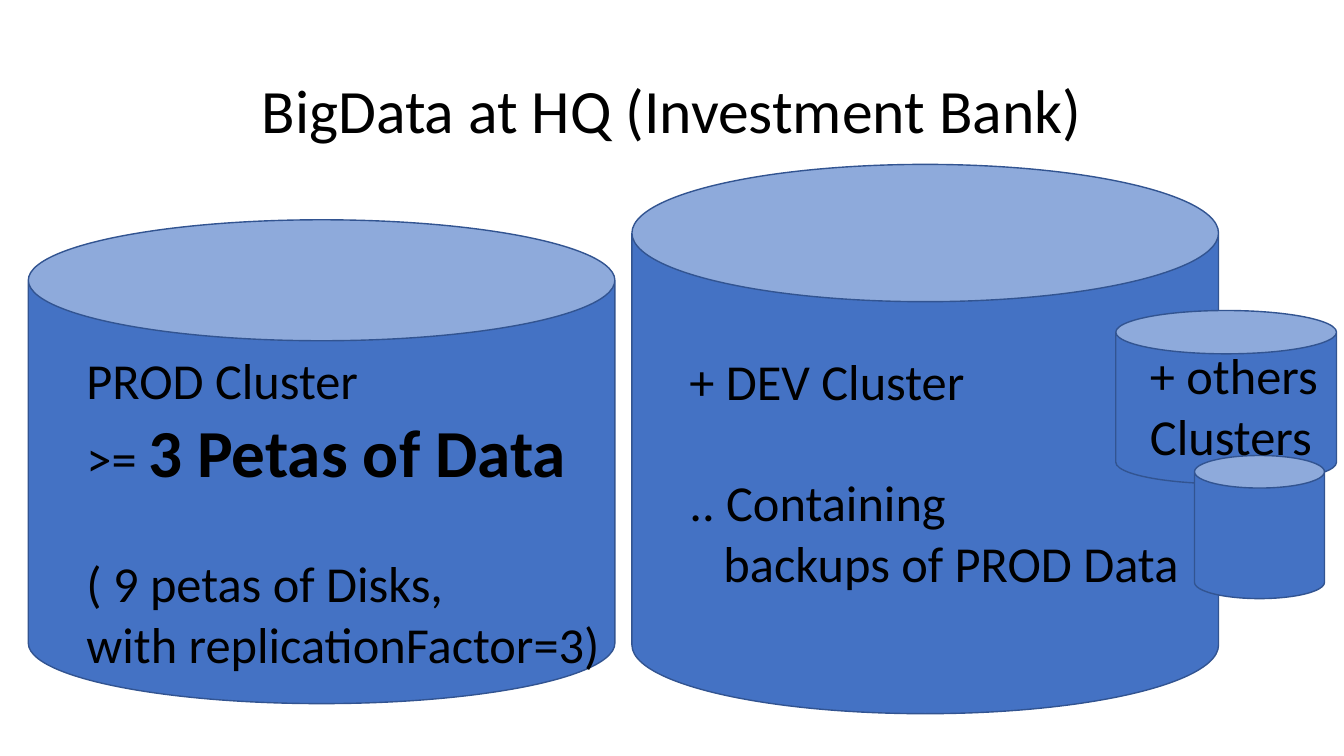
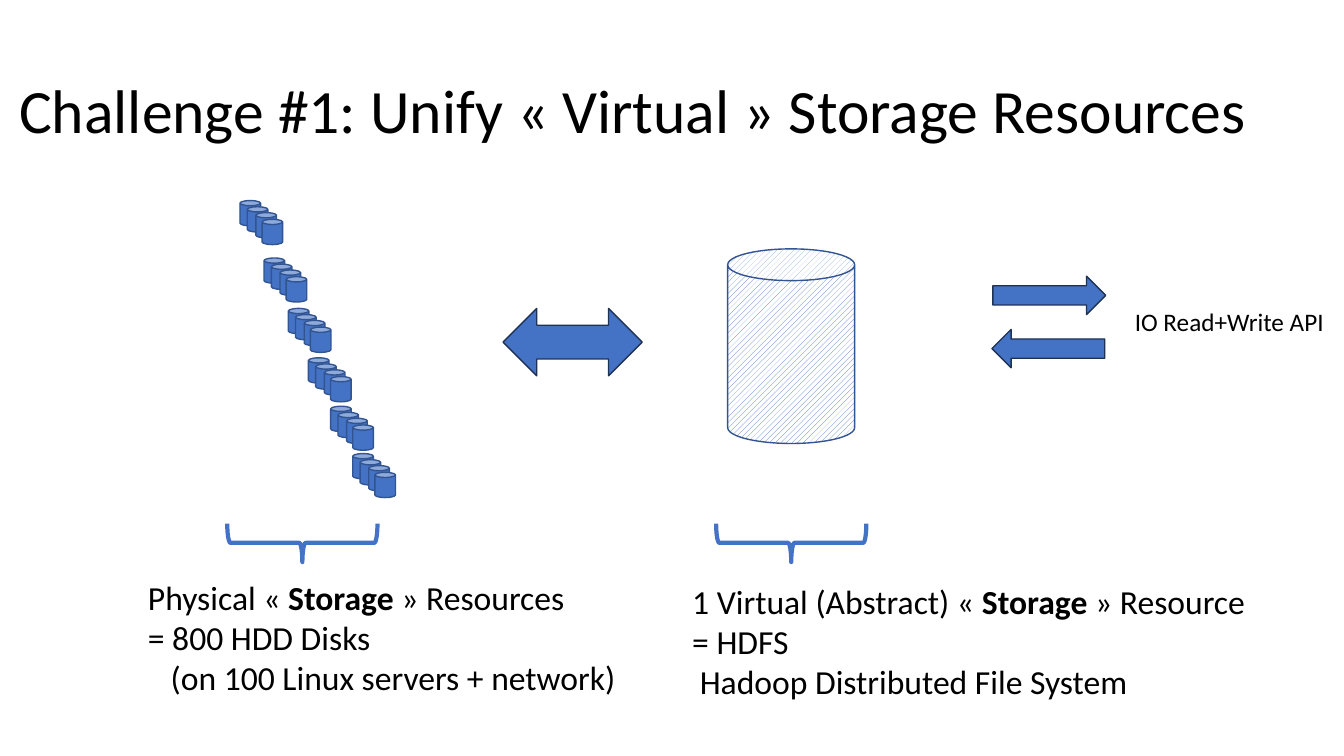
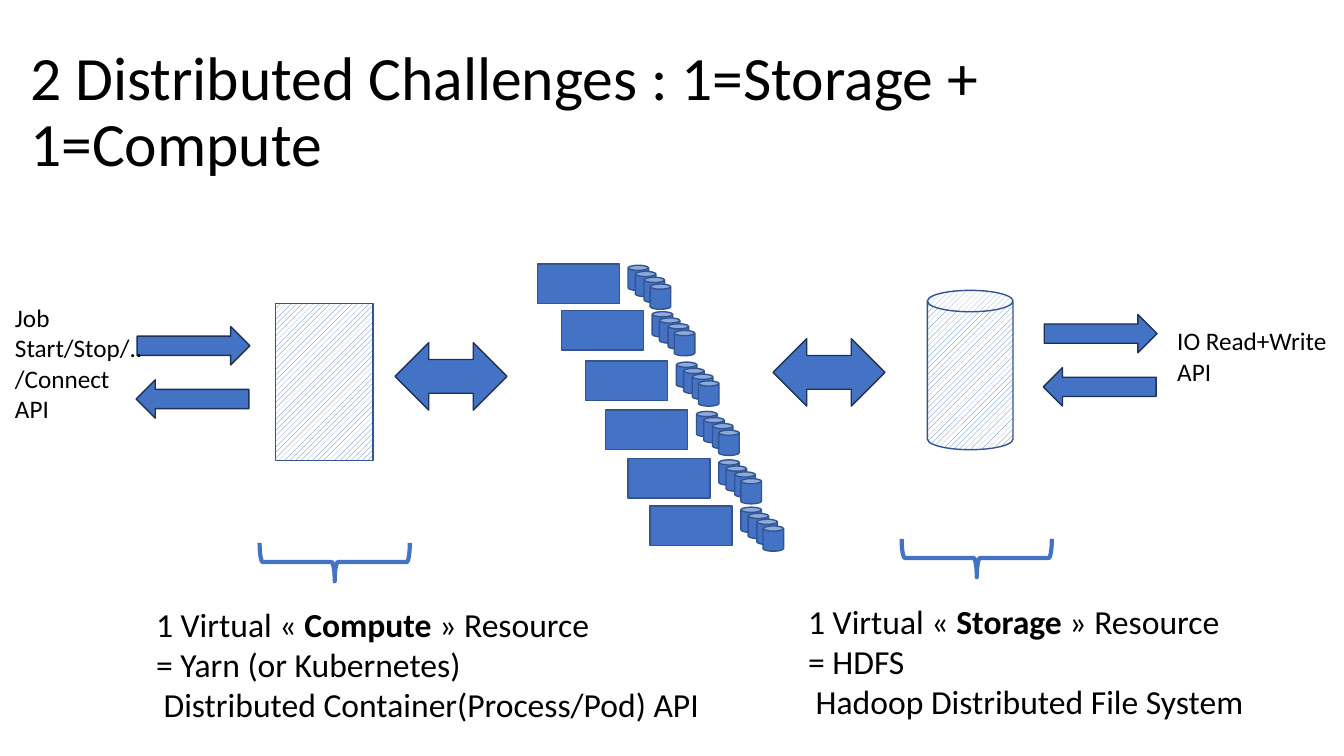
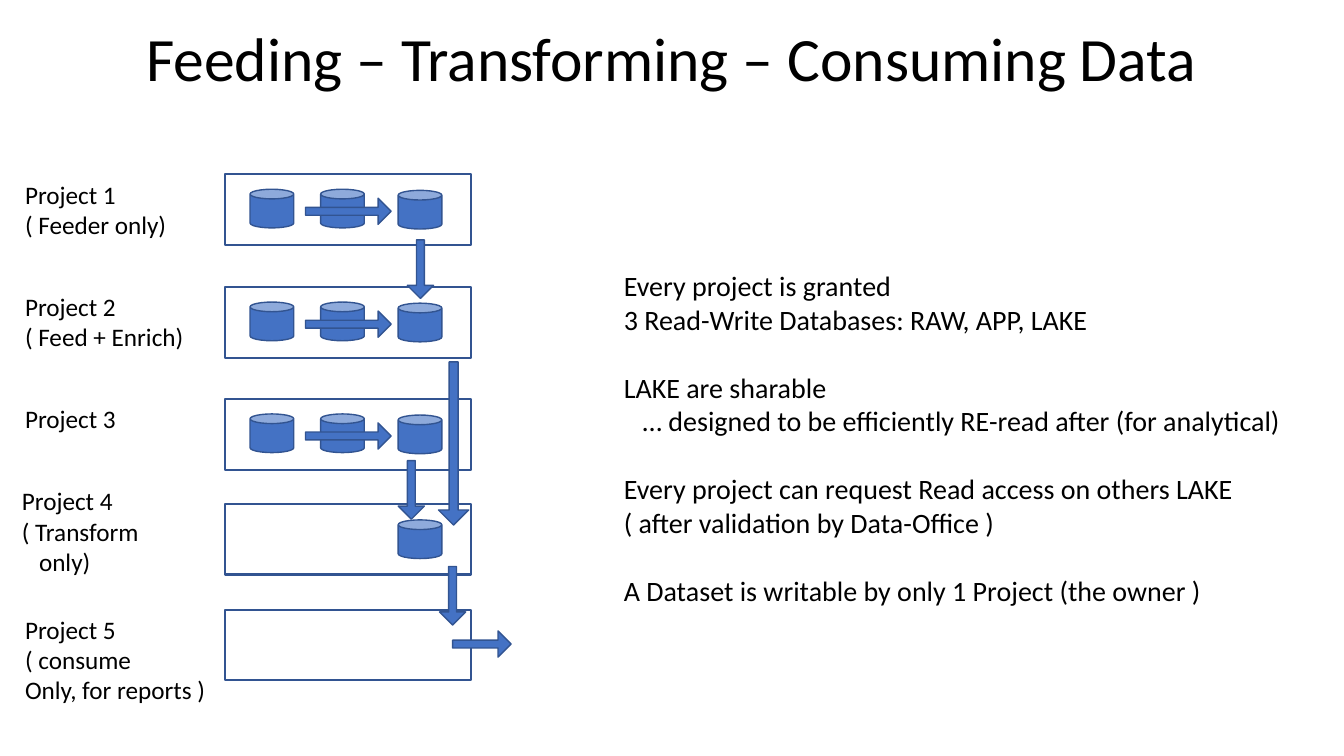
from pptx import Presentation
from pptx.dml.color import RGBColor
from pptx.enum.dml import MSO_PATTERN
from pptx.enum.shapes import MSO_SHAPE
from pptx.enum.text import MSO_ANCHOR, MSO_AUTO_SIZE, PP_ALIGN
from pptx.util import Pt

CAN = MSO_SHAPE.CAN
RECTANGLE = MSO_SHAPE.RECTANGLE
RIGHT_ARROW = MSO_SHAPE.RIGHT_ARROW
DOUBLE_ARROW = MSO_SHAPE.LEFT_RIGHT_ARROW
BRACE = MSO_SHAPE.LEFT_BRACE
HATCH = MSO_PATTERN.WIDE_UPWARD_DIAGONAL
MIDDLE = MSO_ANCHOR.MIDDLE
TOP = MSO_ANCHOR.TOP
LEFT = PP_ALIGN.LEFT
CENTER = PP_ALIGN.CENTER
NO_AUTOFIT = MSO_AUTO_SIZE.NONE
GROW = MSO_AUTO_SIZE.SHAPE_TO_FIT_TEXT

COLORS = {
    "blue": "4472C4",
    "outline": "325491",
    "arrow_outline": "1E3256",
    "text": "000000",
    "white": "FFFFFF",
}
FONT = "Calibri"
TITLE_SIZE = 44
LINE_HEIGHT = 1.22
SPACE_WIDTH = 0.226

CLUSTERS = {
    "title": (["BigData at HQ (Investment Bank)"], (66, 28.8, 828, 104.4), CENTER),
    "cans": [
        (20.2, 157, 419, 345.6),
        (451.4, 117.4, 419, 392.4),
        (797, 221.8, 157.7, 123.8),
        (853.2, 325.4, 92.9, 102.2),
    ],
    "texts": [
        ((54.7, 246.2, 384.5, 239.8), 36, [
            "PROD Cluster",
            {"runs": [(">= ", False, 36), ("3 Petas of Data", True, 48)]},
            {"runs": [("( 9 petas of Disks,", False, 36)], "gap": 1},
            "with replicationFactor=3)",
        ]),
        ((485.3, 246.2, 375.8, 181.4), 36, [
            "+ DEV Cluster",
            {"runs": [(".. Containing", False, 36)], "gap": 1},
            {"runs": [("backups of PROD Data", False, 36)], "indent": 3},
        ]),
        ((814.3, 242.6, 135.4, 94.3), 36, ["+ others", "Clusters"]),
    ],
}

HDFS_LINES = [
    "= HDFS",
    {"runs": [("Hadoop Distributed File System", False, 24)], "indent": 1},
]


def resource_line(before, resource, after):
    return {"runs": [(before + " « ", False, 24), (resource, True, 24), (" » " + after, False, 24)]}


STORAGE = {
    "title": (["Challenge #1: Unify « Virtual » Storage Resources"], (6.5, 28.8, 940.3, 104.4), LEFT),
    "disk_tops": [143.3, 184.3, 220.3, 255.6, 290.2, 324],
    "can": (519.8, 177.8, 90.7, 139),
    "double_arrows": [(359.3, 220.3, 99.4, 48.2)],
    "braces": [(202.3, 334.1), (551.5, 334.1)],
    "arrow_pairs": [(709.2, 197.3)],
    "texts": [
        ((98.6, 408.2, 351.4, 94.3), 24, [
            resource_line("Physical", "Storage", "Resources"),
            "= 800 HDD Disks",
            {"runs": [("(on 100 Linux servers + network)", False, 24)], "indent": 3},
        ]),
        ((487.4, 411.1, 412.6, 94.3), 24,
         [resource_line("1 Virtual (Abstract)", "Storage", "Resource")] + HDFS_LINES),
        ((803.5, 215.3, 150.5, 28.8), 18, ["IO Read+Write API"]),
    ],
}

COMPUTE = {
    "title": (["2 Distributed Challenges : 1=Storage +", "1=Compute"], (14.4, 28.8, 927.4, 104.4), LEFT),
    "server_tops": [188.6, 221.8, 257.8, 293, 327.6, 361.4],
    "can": (662.4, 207.4, 61.2, 113.8),
    "container": (196.6, 216.7, 69.8, 112.3),
    "double_arrows": [(552.2, 241.9, 79.9, 48.2), (282.2, 244.8, 79.9, 48.2)],
    "braces": [(684, 344.9), (225.4, 347.8)],
    "arrow_pairs": [(745.9, 224.6), (97.9, 233.3)],
    "texts": [
        ((570.2, 425.5, 328.3, 94.3), 24,
         [resource_line("1 Virtual", "Storage", "Resource")] + HDFS_LINES),
        ((104.4, 427.7, 402.5, 94.3), 24, [
            resource_line("1 Virtual", "Compute", "Resource"),
            "= Yarn (or Kubernetes)",
            {"runs": [("Distributed Container(Process/Pod) API", False, 24)], "indent": 1},
        ]),
        ((833.8, 229, 126.7, 51.1), 18, ["IO Read+Write", "API"]),
        ((3.6, 212.4, 106.6, 94.3), 18, ["Job", "Start/Stop/..", "/Connect", "API"]),
    ],
}

DISK_LEFTS = [171.4, 188.6, 205.9, 220.3, 236.2, 252]
DISK_STEPS = [(0, 0), (5.2, 4.4), (11.4, 8.6), (15.8, 13.4)]
DISK_SIZE = (14.7, 18)
SERVER_SHIFT = 212.4
SERVER_SIZE = (58.6, 28.2)
SERVER_TO_DISK = (64.8, 0.9)

FEEDING = {
    "title": (["Feeding – Transforming – Consuming Data"], (66, 10.8, 828, 67), CENTER),
    "projects": [
        (124.6, 3, (10.8, 124.6, 116.6, 51.1), ["Project 1", "( Feeder only)"]),
        (205.2, 3, (10.8, 204.5, 129.6, 51.1), ["Project 2", "( Feed + Enrich)"]),
        (285.1, 3, (10.8, 284.4, 79.9, 28.8), ["Project 3"]),
        (360, 1, (8.6, 343.4, 98.6, 72.7), [
            "Project 4", "( Transform",
            {"runs": [("only)", False, 18)], "indent": 3},
        ]),
        (435.6, 0, (10.8, 434.9, 144.7, 72.7), ["Project 5", "( consume", "Only, for reports )"]),
    ],
    "flows": [
        ((272.9, 340.6, 41.8, 18.7), 90),
        ((265.7, 306, 116.6, 21.6), 90),
        ((279.4, 182.9, 41.8, 18.7), 90),
        ((323.3, 450.7, 41.8, 18.7), 0),
        ((302.4, 416.2, 41.8, 18.7), 90),
    ],
    "texts": [
        ((438.5, 188.6, 501.1, 273.6), 20, [
            "Every project is granted",
            "3 Read-Write Databases: RAW, APP, LAKE",
            {"runs": [("LAKE are sharable", False, 20)], "gap": 1},
            {"runs": [("… designed to be efficiently RE-read after (for analytical)", False, 20)], "indent": 3},
            {"runs": [("Every project can request Read access on others LAKE", False, 20)], "gap": 1},
            "( after validation by Data-Office )",
            {"runs": [("A Dataset is writable by only 1 Project (the owner )", False, 20)], "gap": 1},
        ]),
    ],
}
DATABASES = [(178.6, 10.6), (229, 10.6), (284.4, 11.4)]


def color(name):
    return RGBColor.from_string(COLORS[name])


def points(box):
    return [Pt(value) for value in box]


def add_run(paragraph, text, size, bold=False):
    run = paragraph.add_run()
    run.text = text
    run.font.name = FONT
    run.font.size = Pt(size)
    run.font.bold = bold
    run.font.color.rgb = color("text")


def new_slide(presentation, content):
    lines, box, alignment = content["title"]
    slide = presentation.slides.add_slide(presentation.slide_layouts[5])
    title = slide.shapes.title
    title.left, title.top, title.width, title.height = points(box)
    frame = title.text_frame
    frame.word_wrap = True
    frame.auto_size = NO_AUTOFIT
    frame.vertical_anchor = MIDDLE
    paragraph = frame.paragraphs[0]
    paragraph.alignment = alignment
    paragraph.line_spacing = 0.9
    for index, text in enumerate(lines):
        if index:
            paragraph.add_line_break()
        add_run(paragraph, text, TITLE_SIZE)
    return slide


def add_text(slide, box, size, lines):
    frame = slide.shapes.add_textbox(*points(box)).text_frame
    frame.word_wrap = False
    frame.auto_size = GROW
    frame.vertical_anchor = TOP
    for index, line in enumerate(lines):
        if isinstance(line, str):
            line = {"runs": [(line, False, size)]}
        paragraph = frame.add_paragraph() if index else frame.paragraphs[0]
        if "indent" in line:
            properties = paragraph._p.get_or_add_pPr()
            properties.set("marL", str(Pt(line["indent"] * SPACE_WIDTH * size)))
            properties.set("indent", "0")
        if "gap" in line:
            paragraph.space_before = Pt(round(line["gap"] * LINE_HEIGHT * size, 1))
        for text, bold, run_size in line["runs"]:
            add_run(paragraph, text, run_size, bold)


def add_texts(slide, content):
    for box, size, lines in content["texts"]:
        add_text(slide, box, size, lines)


def add_figure(slide, kind, box, fill="solid", line="outline", width=1, rotation=0):
    shape = slide.shapes.add_shape(kind, *points(box))
    shape.shadow.inherit = False
    shape.rotation = rotation
    if fill == "solid":
        shape.fill.solid()
        shape.fill.fore_color.rgb = color("blue")
    elif fill == "hatch":
        shape.fill.patterned()
        shape.fill.pattern = HATCH
        shape.fill.fore_color.rgb = color("blue")
        shape.fill.back_color.rgb = color("white")
    else:
        shape.fill.background()
    shape.line.color.rgb = color(line)
    shape.line.width = Pt(width)
    return shape


def add_disks(slide, left, top):
    for across, down in DISK_STEPS:
        add_figure(slide, CAN, (left + across, top + down, *DISK_SIZE))


def add_flow(slide, box, rotation=0):
    arrow = add_figure(slide, RIGHT_ARROW, box, rotation=rotation)
    arrow.adjustments[0] = 0.3


def add_resources(slide, content):
    add_figure(slide, CAN, content["can"], fill="hatch")
    for box in content["double_arrows"]:
        add_figure(slide, DOUBLE_ARROW, box, line="arrow_outline")
    for left, top in content["braces"]:
        add_figure(slide, BRACE, (left, top, 27.4, 107.3), None, "blue", 3, 270)
    for left, top in content["arrow_pairs"]:
        for across, down, rotation in [(0, 0, 0), (-0.7, 38, 180)]:
            add_figure(slide, RIGHT_ARROW, (left + across, top + down, 80.6, 27.4),
                       line="arrow_outline", rotation=rotation)
    add_texts(slide, content)


def build_clusters(presentation):
    slide = new_slide(presentation, CLUSTERS)
    for box in CLUSTERS["cans"]:
        add_figure(slide, CAN, box)
    add_texts(slide, CLUSTERS)


def build_storage(presentation):
    slide = new_slide(presentation, STORAGE)
    for left, top in zip(DISK_LEFTS, STORAGE["disk_tops"]):
        add_disks(slide, left, top)
    add_resources(slide, STORAGE)


def build_compute(presentation):
    slide = new_slide(presentation, COMPUTE)
    for disk_left, top in zip(DISK_LEFTS, COMPUTE["server_tops"]):
        left = disk_left + SERVER_SHIFT
        add_figure(slide, RECTANGLE, (left, top, *SERVER_SIZE))
        add_disks(slide, left + SERVER_TO_DISK[0], top + SERVER_TO_DISK[1])
    add_figure(slide, RECTANGLE, COMPUTE["container"], fill="hatch")
    add_resources(slide, COMPUTE)


def build_feeding(presentation):
    slide = new_slide(presentation, FEEDING)
    for top, count, label_box, label in FEEDING["projects"]:
        add_figure(slide, RECTANGLE, (160.6, top, 175.7, 50.4), fill=None, width=1.5)
        for left, down in DATABASES[len(DATABASES) - count:]:
            add_figure(slide, CAN, (left, top + down, 31.2, 27.6))
        if count == len(DATABASES):
            add_flow(slide, (218.2, top + 17, 61.2, 18.7))
        add_text(slide, label_box, 18, label)
    for box, rotation in FEEDING["flows"]:
        add_flow(slide, box, rotation)
    add_texts(slide, FEEDING)


def main():
    presentation = Presentation()
    presentation.slide_width = Pt(960)
    presentation.slide_height = Pt(540)
    for build in (build_clusters, build_storage, build_compute, build_feeding):
        build(presentation)
    presentation.save("out.pptx")


if __name__ == "__main__":
    main()
